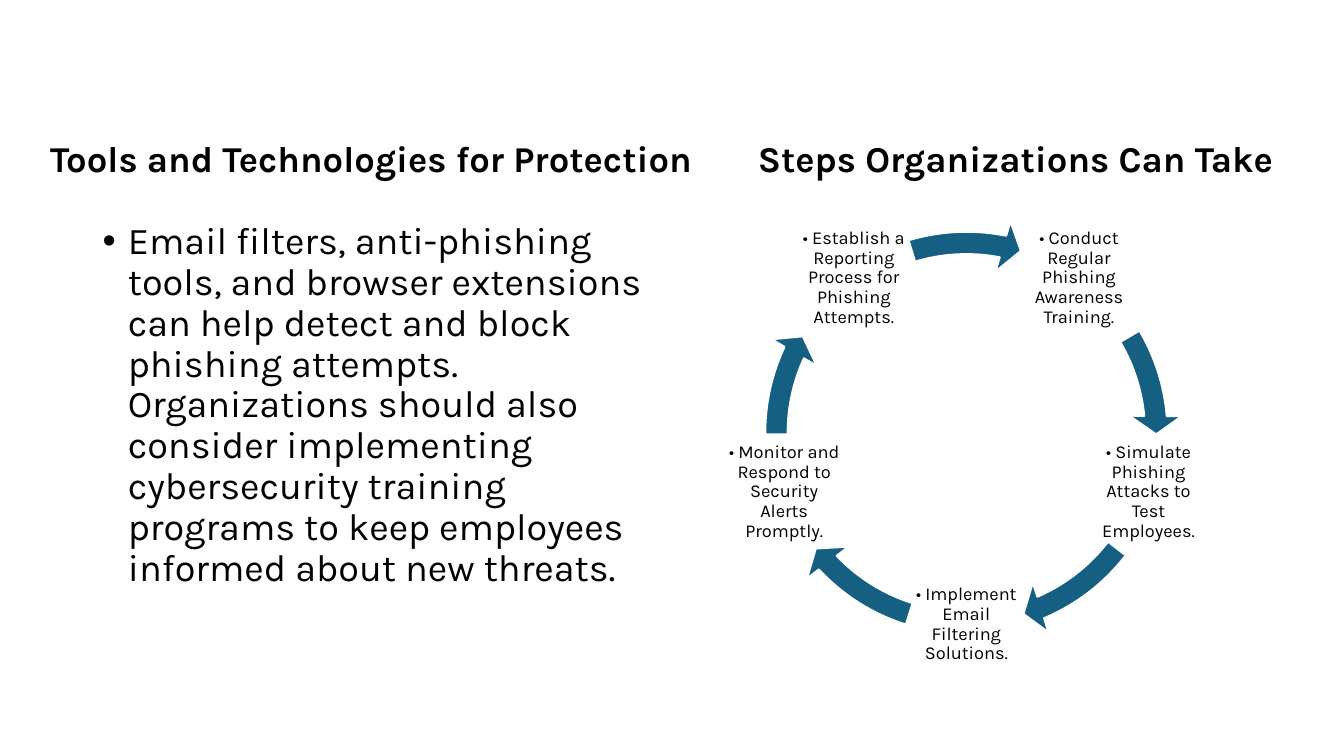
"""Build a slide on phishing protection tools and a five-step cycle for organizations."""
import math

import pptx
import pptx.enum.shapes
import pptx.enum.text
import pptx.dml.color
import pptx.util

THEME = {
    "font": "Karla",
    "ink": pptx.dml.color.RGBColor.from_string("000000"),
    "arrow": pptx.dml.color.RGBColor.from_string("156082"),
    "paper": pptx.dml.color.RGBColor.from_string("FFFFFF"),
    "heading_size": 26,
    "body_size": 27,
    "step_size": 13,
}
ANCHOR = pptx.enum.text.MSO_ANCHOR
ALIGN = pptx.enum.text.PP_ALIGN

deck = pptx.Presentation()
deck.slide_width = pptx.util.Inches(13.33)
deck.slide_height = pptx.util.Inches(7.5)
slide = deck.slides.add_slide(deck.slide_layouts[6])
column = deck.slide_width / 100
row = deck.slide_height / 100


def add_text(text, left, top, width, height, size, bold=False, anchor=ANCHOR.TOP,
             align=ALIGN.LEFT, before=0, inset=None, bullet=False):
    """Place one paragraph in a wrapped text box."""
    box = slide.shapes.add_textbox(int(left), int(top), int(width), int(height))
    frame = box.text_frame
    frame.word_wrap = True
    frame.vertical_anchor = anchor
    if inset is not None:
        frame.margin_left = frame.margin_right = pptx.util.Inches(inset)
        frame.margin_top = frame.margin_bottom = pptx.util.Inches(inset)
    paragraph = frame.paragraphs[0]
    paragraph.alignment = align
    paragraph.line_spacing = 0.9
    paragraph.space_before = pptx.util.Pt(before)
    run = paragraph.add_run()
    run.text = text
    run.font.name = THEME["font"]
    run.font.size = pptx.util.Pt(size)
    run.font.bold = bold
    run.font.color.rgb = THEME["ink"]
    if bullet:
        hanging = pptx.util.Inches(0.25)
        properties = paragraph._p.get_or_add_pPr()
        properties.set("marL", str(hanging))
        properties.set("indent", str(-hanging))
        for tag, key, value in (("a:buFont", "typeface", "Arial"), ("a:buChar", "char", "•")):
            mark = pptx.oxml.xmlchemy.OxmlElement(tag)
            mark.set(key, value)
            properties.append(mark)


headings = [
    ("Tools and Technologies for Protection", 3, 52.65),
    ("Steps Organizations Can Take", 55.65, 42.5),
]
for heading, left, width in headings:
    add_text(heading, left * column, 12.5 * row, width * column, 12 * row,
             size=THEME["heading_size"], bold=True, anchor=ANCHOR.BOTTOM, before=10)

add_text(
    "Email filters, anti-phishing tools, and browser extensions can help detect and block "
    "phishing attempts. Organizations should also consider implementing cybersecurity "
    "training programs to keep employees informed about new threats.",
    6.9 * column, 28.67 * row, 42.3 * column, 61.6 * row,
    size=THEME["body_size"], before=10, bullet=True)

steps = [
    ("Conduct Regular Phishing Awareness Training.", 329.43, 354.89),
    ("Simulate Phishing Attacks to Test Employees.", 37.55, 66.92),
    ("Implement Email Filtering Solutions.", 107.49, 136.85),
    ("Monitor and Respond to Security Alerts Promptly.", 179.51, 204.97),
    ("Establish a Reporting Process for Phishing Attempts.", 253.3, 281.1),
]
cycle_x, cycle_y = 71.9 * column, 57.25 * row
cycle_side = 57.2 * row
step_radius = 25.33 * row
step_side = 15.2 * row
degree = 0.6

for index, (step, arrow_start, arrow_end) in enumerate(steps):
    angle = math.radians(-54 + index * 360 / len(steps))
    add_text(f"• {step}",
             cycle_x + step_radius * math.cos(angle) - step_side / 2,
             cycle_y + step_radius * math.sin(angle) - step_side / 2,
             step_side, step_side, size=THEME["step_size"],
             anchor=ANCHOR.MIDDLE, align=ALIGN.CENTER, inset=0.02)
    arrow = slide.shapes.add_shape(
        pptx.enum.shapes.MSO_SHAPE.CIRCULAR_ARROW,
        int(cycle_x - cycle_side / 2), int(cycle_y - cycle_side / 2),
        int(cycle_side), int(cycle_side))
    bends = (0.052, 5.6 * degree, arrow_end * degree, arrow_start * degree, 0.061)
    for position, bend in enumerate(bends):
        arrow.adjustments[position] = bend
    arrow.shadow.inherit = False
    arrow.fill.solid()
    arrow.fill.fore_color.rgb = THEME["arrow"]
    arrow.line.color.rgb = THEME["paper"]
    arrow.line.width = pptx.util.Pt(1.5)

deck.save("out.pptx")
